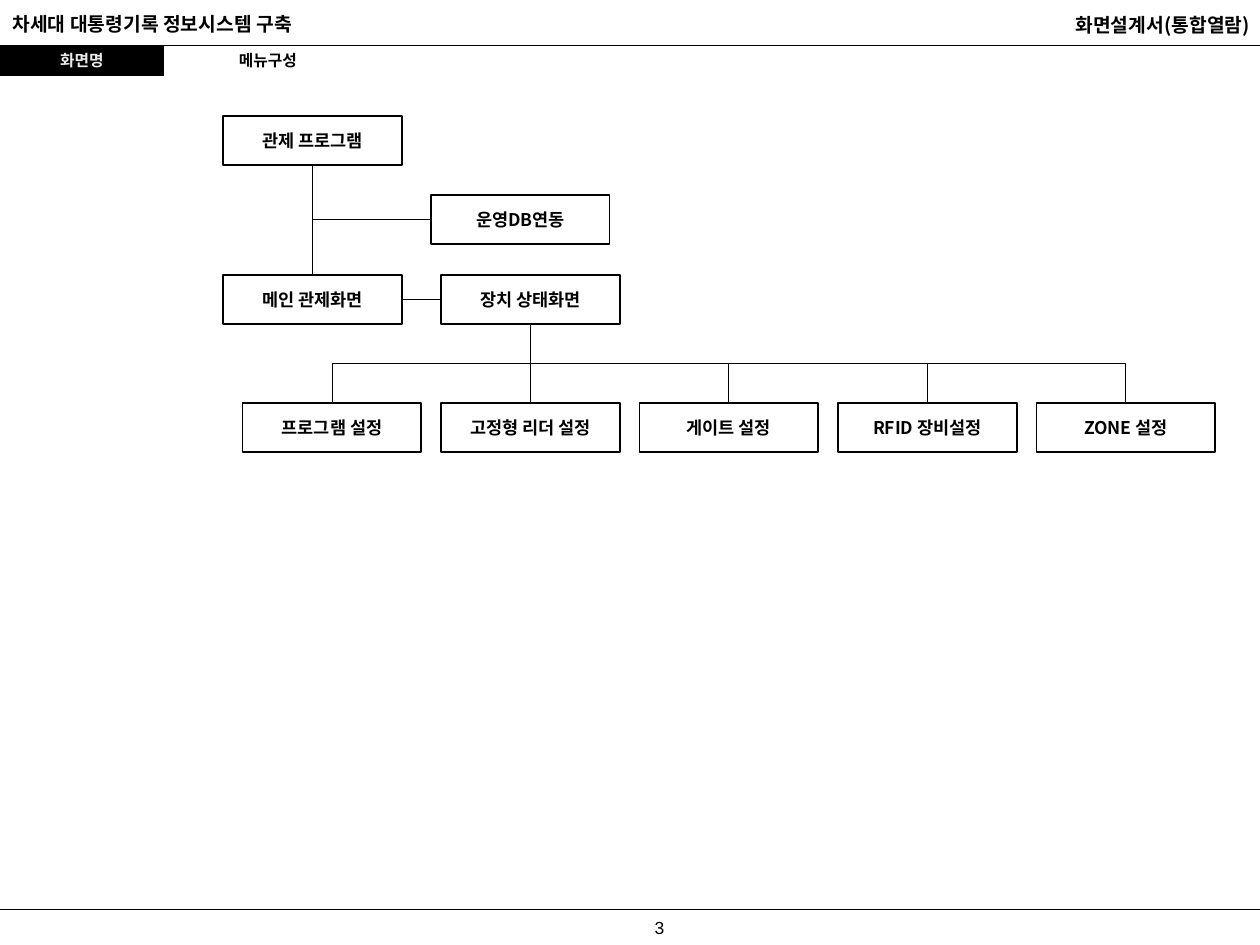
from lxml import etree
from pptx import Presentation
from pptx.dml import color
from pptx.enum import shapes, text
from pptx.oxml import ns
from pptx.util import Pt

KOREAN_FONT = "Noto Sans CJK KR"


def paint(target, hex_colour):
    """Give a fill, line fill or font fill a solid colour."""
    target.solid()
    target.fore_color.rgb = color.RGBColor.from_string(hex_colour)


def write_text(shape, content, size=10, font=KOREAN_FONT, bold=True, colour="000000",
               align=text.PP_ALIGN.CENTER, anchor=text.MSO_ANCHOR.MIDDLE, wrap=True):
    frame = shape.text_frame
    frame.auto_size = text.MSO_AUTO_SIZE.NONE
    frame.word_wrap = wrap
    frame.vertical_anchor = anchor
    frame.margin_left = frame.margin_right = Pt(7.2)
    frame.margin_top = frame.margin_bottom = Pt(3.6)
    paragraph = frame.paragraphs[0]
    paragraph.alignment = align
    run = paragraph.add_run()
    run.text = content
    run.font.size, run.font.bold, run.font.name = Pt(size), bold, font
    paint(run.font.fill, colour)
    east_asian = etree.SubElement(run.font._element, ns.qn("a:ea"))
    east_asian.set("typeface", font)


presentation = Presentation()
presentation.slide_width, presentation.slide_height = Pt(720), Pt(540)
slide = presentation.slides.add_slide(presentation.slide_layouts[5])

# Screen name label and title
label = slide.shapes.add_shape(shapes.MSO_SHAPE.RECTANGLE, Pt(0), Pt(26), Pt(93.6), Pt(17.3))
label.shadow.inherit = False
paint(label.fill, "000000")
paint(label.line.fill, "000000")
label.line.width = Pt(0.75)
write_text(label, "화면명", size=9, colour="EAEAEA", wrap=False)

title = slide.shapes.title
title.left, title.top, title.width, title.height = Pt(93.6), Pt(26), Pt(118.8), Pt(17.3)
write_text(title, "메뉴구성", size=9, wrap=False)

# Header texts and page number
page_texts = [
    ("차세대 대통령기록 정보시스템 구축", 0, 3.6, 320.4, 20.9,
     dict(size=11, align=text.PP_ALIGN.LEFT)),
    ("화면설계서(통합열람)", 422.6, 4.1, 298.8, 20.2,
     dict(size=11, align=text.PP_ALIGN.RIGHT)),
    ("3", 343.4, 520.6, 67, 19.4, dict(font="Arial", bold=False)),
]
for content, left, top, width, height, text_format in page_texts:
    box = slide.shapes.add_textbox(Pt(left), Pt(top), Pt(width), Pt(height))
    write_text(box, content, anchor=text.MSO_ANCHOR.TOP, **text_format)

# Menu boxes: upper levels, then one evenly spaced row of settings
BOX_WIDTH, BOX_HEIGHT = 102.2, 28
SETTINGS = ["프로그램 설정", "고정형 리더 설정", "게이트 설정", "RFID 장비설정", "ZONE 설정"]
positions = {
    "관제 프로그램": (127.4, 66.2),
    "운영DB연동": (246.2, 111.6),
    "메인 관제화면": (127.4, 157),
    "장치 상태화면": (252, 157),
}
for column, name in enumerate(SETTINGS):
    positions[name] = (138.6 + 113.4 * column, 230.4)

for name, (left, top) in positions.items():
    box = slide.shapes.add_shape(shapes.MSO_SHAPE.RECTANGLE, Pt(left), Pt(top),
                                 Pt(BOX_WIDTH), Pt(BOX_HEIGHT))
    box.shadow.inherit = False
    paint(box.fill, "FFFFFF")
    paint(box.line.fill, "000000")
    box.line.width = Pt(1)
    write_text(box, name)

# Lines: start, end, weight, preset
lines = [((0, y), (720, y), 0.75, "line") for y in (26, 519.8)]
links = [("관제 프로그램", "메인 관제화면", "line"),
         ("관제 프로그램", "운영DB연동", "bentConnector2"),
         ("메인 관제화면", "장치 상태화면", "line")]
links += [("장치 상태화면", name, "bentConnector3") for name in SETTINGS]
for parent, child, preset in links:
    (x1, y1), (x2, y2) = positions[parent], positions[child]
    if y1 == y2:  # side by side
        start = (x1 + BOX_WIDTH, y1 + BOX_HEIGHT / 2)
    else:
        start = (x1 + BOX_WIDTH / 2, y1 + BOX_HEIGHT)
    if y1 == y2 or preset == "bentConnector2":  # enters from the left
        end = (x2, y2 + BOX_HEIGHT / 2)
    else:
        end = (x2 + BOX_WIDTH / 2, y2)
    if abs(start[0] - end[0]) < 0.1:
        preset = "line"
    lines.append((start, end, 0.5, preset))

for (x1, y1), (x2, y2), weight, preset in lines:
    rotation = 0
    kind = shapes.MSO_CONNECTOR.STRAIGHT
    if preset != "line":
        # An elbow that leaves downwards is a sideways elbow turned about its centre
        kind = shapes.MSO_CONNECTOR.ELBOW
        rotation = 270 if x2 > x1 else 90
        middle_x, middle_y = (x1 + x2) / 2, (y1 + y2) / 2
        half_run = (y2 - y1) / 2 * (-1 if x2 > x1 else 1)
        half_rise = abs(x2 - x1) / 2
        x1, x2 = middle_x - half_run, middle_x + half_run
        y1, y2 = middle_y - half_rise, middle_y + half_rise
    connector = slide.shapes.add_connector(kind, Pt(x1), Pt(y1), Pt(x2), Pt(y2))
    paint(connector.line.fill, "000000")
    connector.line.width = Pt(weight)
    properties = connector._element.spPr
    properties.find(ns.qn("a:prstGeom")).set("prst", preset)
    if rotation:
        properties.find(ns.qn("a:xfrm")).set("rot", str(rotation * 60000))
    etree.SubElement(properties, ns.qn("a:effectLst"))

presentation.save("out.pptx")
